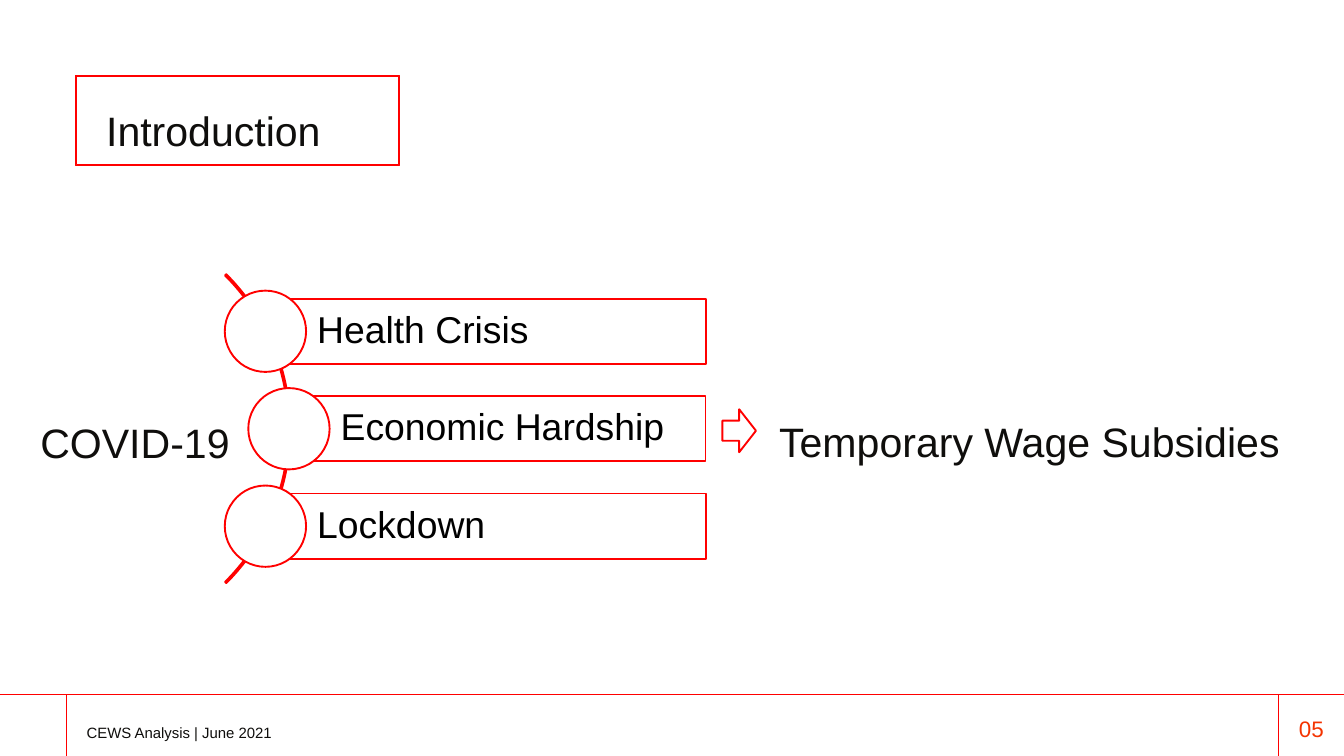
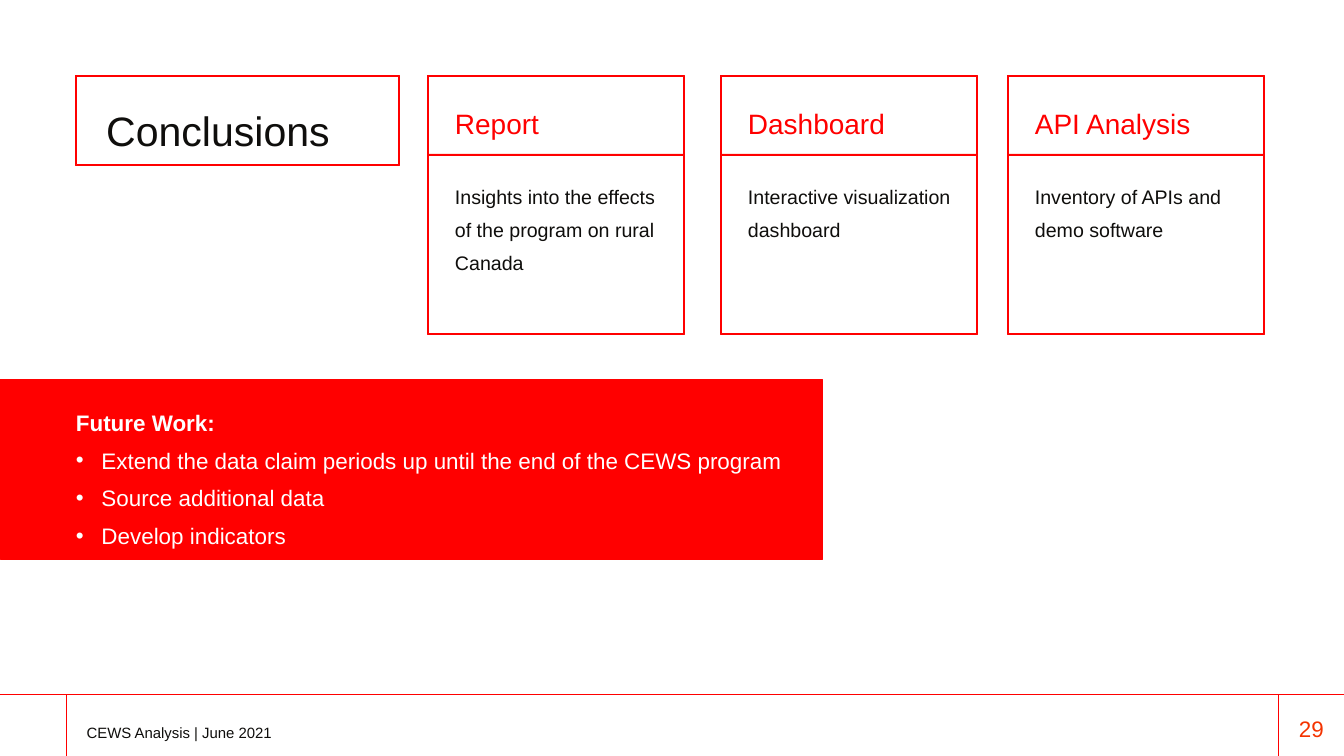
"""Build the introduction and conclusions slides of a wage subsidy analysis."""
from dataclasses import dataclass

from lxml import etree
from pptx import Presentation
from pptx.dml.color import RGBColor
from pptx.enum.shapes import MSO_CONNECTOR, MSO_SHAPE
from pptx.enum.text import MSO_ANCHOR, MSO_AUTO_SIZE, PP_ALIGN
from pptx.oxml.ns import qn
from pptx.util import Inches, Pt

RECTANGLE = MSO_SHAPE.RECTANGLE
OVAL = MSO_SHAPE.OVAL
BLOCK_ARC = MSO_SHAPE.BLOCK_ARC
RIGHT_ARROW = MSO_SHAPE.RIGHT_ARROW
STRAIGHT = MSO_CONNECTOR.STRAIGHT
MIDDLE = MSO_ANCHOR.MIDDLE
FIT_SHAPE = MSO_AUTO_SIZE.SHAPE_TO_FIT_TEXT
LEFT, CENTER, RIGHT = PP_ALIGN.LEFT, PP_ALIGN.CENTER, PP_ALIGN.RIGHT

SLIDE_WIDTH, SLIDE_HEIGHT = 20, 11.25
FOOTER_TOP = 10.34
FRAME_TOP = 1.12


@dataclass(frozen=True)
class Theme:
    font: str = "Arial"
    red: str = "FF0000"
    accent: str = "F43300"
    ink: str = "0F0E0C"
    black: str = "000000"
    white: str = "FFFFFF"
    title_size: int = 44
    bar_size: int = 40
    heading_size: int = 30
    number_size: int = 24
    list_size: int = 24
    body_size: int = 21
    footer_size: int = 16
    thin: float = 0.75
    rule: float = 1
    thick: float = 2


class Deck:
    def __init__(self, theme):
        self.theme = theme
        self.presentation = Presentation()
        self.presentation.slide_width = Inches(SLIDE_WIDTH)
        self.presentation.slide_height = Inches(SLIDE_HEIGHT)
        self.slide = None

    def new_slide(self, title, number):
        self.slide = self.presentation.slides.add_slide(self.presentation.slide_layouts[6])
        self.footer(number)
        self.frame(FRAME_TOP, FRAME_TOP, 4.82, 1.34)
        self.title_text(title, 1.58, 1.38, 3.9)

    def footer(self, number):
        theme = self.theme
        self.line(0, FOOTER_TOP, SLIDE_WIDTH, FOOTER_TOP)
        for x in (0.99, 19.03):
            self.line(x, FOOTER_TOP, x, SLIDE_HEIGHT)
        self.text(["CEWS Analysis | June 2021"], 1.29, 10.66, 10.67, 0.28,
                  theme.footer_size, theme.ink, spacing=1.4)
        self.text([number], 19.23, 10.64, 0.57, 0.4,
                  theme.number_size, theme.accent, align=CENTER)

    def line(self, x1, y1, x2, y2):
        connector = self.slide.shapes.add_connector(
            STRAIGHT, Inches(x1), Inches(y1), Inches(x2), Inches(y2))
        connector.line.color.rgb = RGBColor.from_string(self.theme.red)
        connector.line.width = Pt(self.theme.rule)
        etree.SubElement(connector._element.spPr, qn("a:effectLst"))

    def paint(self, shape, fill, line_width):
        shape.shadow.inherit = False
        if fill:
            shape.fill.solid()
            shape.fill.fore_color.rgb = RGBColor.from_string(fill)
        else:
            shape.fill.background()
        shape.line.color.rgb = RGBColor.from_string(self.theme.red)
        shape.line.width = Pt(line_width)

    def shape(self, kind, left, top, width, height, fill=None, line_width=None, adjustments=()):
        shape = self.slide.shapes.add_shape(
            kind, Inches(left), Inches(top), Inches(width), Inches(height))
        for index, value in enumerate(adjustments):
            shape.adjustments[index] = value
        self.paint(shape, fill, line_width or self.theme.thick)
        return shape

    def frame(self, left, top, width, height, border=0.01):
        right, bottom = left + width, top + height
        outer = [(left, top), (left, bottom), (right, bottom), (right, top)]
        inner = [(right - border, bottom - border), (left + border, bottom - border),
                 (left + border, top + border), (right - border, top + border)]
        builder = self.slide.shapes.build_freeform(
            Inches(left), Inches(top))
        for start, *corners in (outer, inner):
            builder.move_to(*map(Inches, start))
            builder.add_line_segments([(Inches(x), Inches(y)) for x, y in corners], close=True)
        self.paint(builder.convert_to_shape(), self.theme.accent, self.theme.thin)

    def format(self, paragraph, size, color, spacing, align=LEFT, bold=False):
        paragraph.alignment = align
        paragraph.line_spacing = spacing
        for run in paragraph.runs:
            run.font.name = self.theme.font
            run.font.size = Pt(size)
            run.font.bold = bold
            run.font.color.rgb = RGBColor.from_string(color)

    def margins(self, text_frame, left, other):
        text_frame.word_wrap = True
        text_frame.margin_left = Inches(left)
        text_frame.margin_top = text_frame.margin_right = text_frame.margin_bottom = Inches(other)

    def text(self, lines, left, top, width, height, size, color, spacing=1.0, align=LEFT):
        box = self.slide.shapes.add_textbox(
            Inches(left), Inches(top), Inches(width), Inches(height))
        text_frame = box.text_frame
        self.margins(text_frame, 0, 0)
        text_frame.auto_size = FIT_SHAPE
        text_frame.text = "\n".join(lines)
        for paragraph in text_frame.paragraphs:
            self.format(paragraph, size, color, spacing, align)
        return text_frame

    def title_text(self, text, left, top, width, align=LEFT):
        self.text([text], left, top, width, 0.74,
                  self.theme.title_size, self.theme.ink, 1.25, align)

    def bullet(self, paragraph, color):
        properties = paragraph._p.get_or_add_pPr()
        properties.set("marL", str(Inches(0.38)))
        properties.set("indent", str(-Inches(0.38)))
        bullet_color = etree.SubElement(properties, qn("a:buClr"))
        etree.SubElement(bullet_color, qn("a:srgbClr"), val=color)
        etree.SubElement(properties, qn("a:buFont"), typeface=self.theme.font)
        etree.SubElement(properties, qn("a:buChar"), char="•")

    def bullet_list(self, heading, items, left, top, width, height):
        theme = self.theme
        text_frame = self.text([heading, *items], left, top, width, height,
                               theme.list_size, theme.white, 1.4)
        first, *rest = text_frame.paragraphs
        for run in first.runs:
            run.font.bold = True
        for paragraph in rest:
            self.bullet(paragraph, theme.white)

    def bar(self, text, left, center_y, right, height=0.97, diameter=1.21):
        theme = self.theme
        bar = self.shape(RECTANGLE, left, center_y - height / 2, right - left, height, theme.white)
        text_frame = bar.text_frame
        self.margins(text_frame, 0.77, 0.11)
        text_frame.vertical_anchor = MIDDLE
        text_frame.text = text
        self.format(text_frame.paragraphs[0], theme.bar_size, theme.black, 0.9)
        self.shape(OVAL, left - diameter / 2, center_y - diameter / 2,
                   diameter, diameter, theme.white)

    def card(self, heading, body, left, body_height):
        theme = self.theme
        width, header_height, text_width = 3.82, 1.18, 3.02
        self.frame(left, FRAME_TOP + header_height, width, 2.67)
        self.frame(left, FRAME_TOP, width, header_height)
        self.text([heading], left + 0.41, 1.44, text_width, 0.5,
                  theme.heading_size, theme.red, 1.3)
        self.text([body], left + 0.41, 2.61, text_width, body_height,
                  theme.body_size, theme.ink, 1.4)


def add_introduction(deck):
    deck.new_slide("Introduction", "05")
    middle, step = 6.38, 1.45
    deck.shape(BLOCK_ARC, -2.18, middle - 3.25, 6.5, 6.5, adjustments=(189, 27, 0.004))
    effects = (("Health Crisis", 3.95), ("Economic Hardship", 4.3), ("Lockdown", 3.95))
    for index, (effect, left) in enumerate(effects):
        deck.bar(effect, left, middle + (index - 1) * step, 10.5)
    deck.title_text("COVID-19", 0.6, 6.03, 3)
    deck.title_text("Temporary Wage Subsidies", 10.93, 6.02, 8.12, RIGHT)
    deck.shape(RIGHT_ARROW, 10.75, 6.09, 0.5, 0.64, adjustments=(0.468, 0.5))


def add_conclusions(deck):
    deck.new_slide("Conclusions", "29")
    cards = (
        ("Report", "Insights into the effects of the program on rural Canada", 6.36, 1.84),
        ("Dashboard", "Interactive visualization dashboard", 10.72, 0.85),
        ("API Analysis", "Inventory of APIs and demo software", 14.99, 0.85),
    )
    for card in cards:
        deck.card(*card)
    deck.shape(RECTANGLE, 0, 5.65, 12.24, 2.67, deck.theme.red, deck.theme.thin)
    future_work = (
        "Extend the data claim periods up until the end of the CEWS program",
        "Source additional data",
        "Develop indicators",
    )
    deck.bullet_list("Future Work:", future_work, 1.13, 5.93, 10.72, 2.1)


def main():
    deck = Deck(Theme())
    add_introduction(deck)
    add_conclusions(deck)
    deck.presentation.save("out.pptx")


if __name__ == "__main__":
    main()
